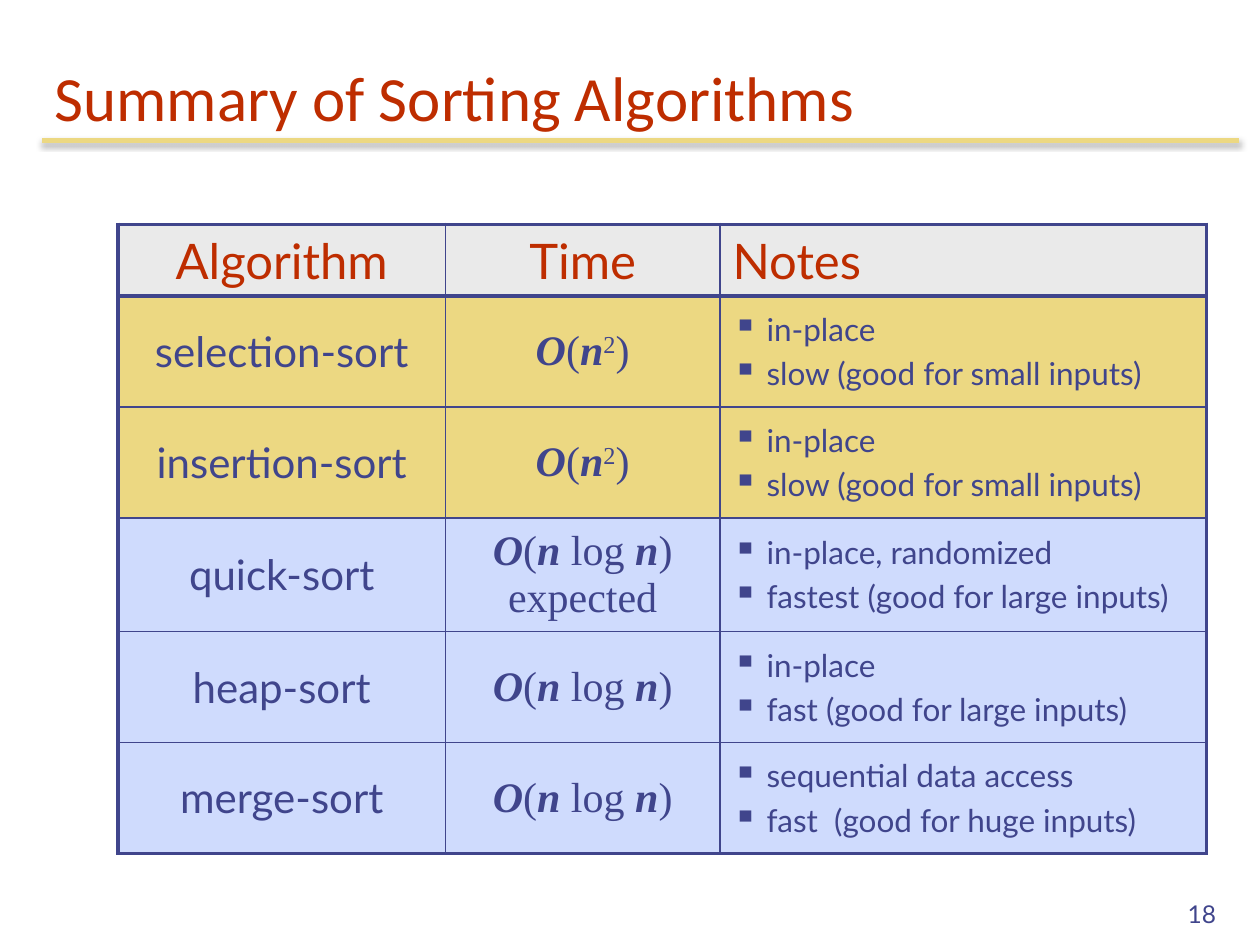
from lxml.etree import SubElement
from pptx import Presentation
from pptx.dml.color import RGBColor
from pptx.enum.shapes import MSO_CONNECTOR
from pptx.enum.text import MSO_ANCHOR, MSO_AUTO_SIZE, PP_ALIGN
from pptx.oxml.ns import qn
from pptx.util import Pt

RED = RGBColor(0xBE, 0x2D, 0x00)
INDIGO = RGBColor(0x40, 0x45, 0x8C)
GOLD = RGBColor(0xEC, 0xD8, 0x82)
GREY = RGBColor(0xEA, 0xEA, 0xEA)
PALE_BLUE = RGBColor(0xCF, 0xDB, 0xFD)
BLACK = RGBColor(0, 0, 0)

THICK, THIN = 2.25, 1

QUADRATIC = ["O", "(", "n", "^2", ")"]
LINEARITHMIC = ["O", "(", "n", " log ", "n", ")"]
SMALL = " slow (good for small inputs)"

ALGORITHMS = [
    ("selection-sort", QUADRATIC, [" in-place", SMALL], GOLD),
    ("insertion-sort", QUADRATIC, [" in-place", SMALL], GOLD),
    ("quick-sort", LINEARITHMIC + ["\n", "expected"],
     [" in-place, randomized", " fastest (good for large inputs)"], PALE_BLUE),
    ("heap-sort", LINEARITHMIC,
     [" in-place", " fast (good for large inputs)"], PALE_BLUE),
    ("merge-sort", LINEARITHMIC,
     [" sequential data access", " fast  (good for huge inputs)"], PALE_BLUE),
]


def add_xml(parent, tag, **attributes):
    """Append a child element such as a:ln and return it."""
    return SubElement(parent, qn(tag), {k: str(v) for k, v in attributes.items()})


class SlideWriter:
    """Holds the style and the current slide."""

    heading_font, text_font, math_font = "Calibri", "Lato", "Times New Roman"

    def __init__(self, slide):
        """Start writing on the given slide."""
        self.slide = slide

    def run(self, paragraph, text, size, color, font=text_font):
        """Add one styled run and return it."""
        run = paragraph.add_run()
        run.text = text
        run.font.name, run.font.size = font, Pt(size)
        run.font.color.rgb = color
        return run

    def title(self, text, left, top, width, height):
        """Fill and place the title placeholder."""
        title = self.slide.shapes.title
        title.left, title.top = Pt(left), Pt(top)
        title.width, title.height = Pt(width), Pt(height)
        frame = title.text_frame
        frame.auto_size = MSO_AUTO_SIZE.NONE
        frame.vertical_anchor = MSO_ANCHOR.BOTTOM
        frame.paragraphs[0].alignment = PP_ALIGN.LEFT
        self.run(frame.paragraphs[0], text, 36, RED, self.heading_font)

    def rule(self, left, y, width):
        """Draw a gold horizontal line with a soft shadow below it."""
        rule = self.slide.shapes.add_connector(
            MSO_CONNECTOR.STRAIGHT, Pt(left), Pt(y), Pt(left + width), Pt(y))
        rule.line.color.rgb, rule.line.width = GOLD, Pt(3)
        effects = add_xml(rule._element.spPr, "a:effectLst")
        shadow = add_xml(effects, "a:outerShdw", blurRad=Pt(3.1), dist=Pt(1.8),
                         dir=90 * 60000, rotWithShape=0)
        add_xml(add_xml(shadow, "a:srgbClr", val=BLACK), "a:alpha", val=35000)

    def page_number(self, text, left, top, width, height):
        """Add the right-aligned page number."""
        box = self.slide.shapes.add_textbox(Pt(left), Pt(top), Pt(width), Pt(height))
        frame = box.text_frame
        frame.word_wrap = True
        frame.vertical_anchor = MSO_ANCHOR.BOTTOM
        frame.paragraphs[0].alignment = PP_ALIGN.RIGHT
        self.run(frame.paragraphs[0], text, 14, INDIGO)

    def table(self, left, top, widths, heights):
        """Add an unbanded table with the given column widths and row heights."""
        table = self.slide.shapes.add_table(
            len(heights), len(widths), Pt(left), Pt(top),
            Pt(sum(widths)), Pt(sum(heights))).table
        table.first_row = table.horz_banding = False
        for column, width in zip(table.columns, widths):
            column.width = Pt(width)
        for row, height in zip(table.rows, heights):
            row.height = Pt(height)
        return table

    def cell(self, table, row, column, fill):
        """Style one cell: thick lines outside and under the header, thin inside."""
        cell = table.cell(row, column)
        last_row, last_column = len(table.rows) - 1, len(table.columns) - 1
        thick_sides = {"L": column == 0, "R": column == last_column,
                       "T": row in (0, 1), "B": row in (0, last_row)}
        properties = cell._tc.get_or_add_tcPr()
        for side, thick in thick_sides.items():
            line = add_xml(properties, "a:ln" + side, w=Pt(THICK if thick else THIN))
            add_xml(add_xml(line, "a:solidFill"), "a:srgbClr", val=INDIGO)
        cell.fill.solid()
        cell.fill.fore_color.rgb = fill
        cell.vertical_anchor = MSO_ANCHOR.MIDDLE
        cell.margin_left = cell.margin_right = Pt(7.2)
        cell.margin_top = cell.margin_bottom = Pt(3.6)
        return cell

    def spaced(self, paragraph, alignment):
        """Align a paragraph, put 20% space before it, return its properties."""
        paragraph.alignment = alignment
        properties = paragraph._p.get_or_add_pPr()
        add_xml(add_xml(properties, "a:spcBef"), "a:spcPct", val=20000)
        return properties

    def label(self, cell, text, size, color, alignment=PP_ALIGN.CENTER):
        """Write one plain line in a cell."""
        paragraph = cell.text_frame.paragraphs[0]
        self.spaced(paragraph, alignment)
        self.run(paragraph, text, size, color)

    def formula(self, cell, terms):
        """Write terms: single letters are variables, ^ raises, newline breaks."""
        paragraph = cell.text_frame.paragraphs[0]
        self.spaced(paragraph, PP_ALIGN.CENTER)
        for term in terms:
            if term == "\n":
                paragraph.add_line_break()
                continue
            run = self.run(paragraph, term.lstrip("^"), 24, INDIGO, self.math_font)
            run.font.bold = run.font.italic = term in ("O", "n")
            if term.startswith("^"):
                run._r.get_or_add_rPr().set("baseline", "30000")

    def bullets(self, cell, remarks):
        """Write a bulleted list in a cell."""
        frame = cell.text_frame
        for index, remark in enumerate(remarks):
            paragraph = frame.add_paragraph() if index else frame.paragraphs[0]
            properties = self.spaced(paragraph, PP_ALIGN.LEFT)
            add_xml(add_xml(properties, "a:buClr"), "a:srgbClr", val=INDIGO)
            add_xml(properties, "a:buSzPct", val=110000)
            add_xml(properties, "a:buChar", char="▪")
            self.run(paragraph, remark, 18, INDIGO)


def main():
    """Build the slide and save it."""
    presentation = Presentation()
    presentation.slide_width, presentation.slide_height = Pt(720), Pt(540)
    writer = SlideWriter(presentation.slides.add_slide(presentation.slide_layouts[5]))

    writer.rule(24, 80.4, 684)
    writer.title("Summary of Sorting Algorithms", 24, 24, 684, 56)
    writer.page_number("18", 552, 498, 150, 36)

    summary = writer.table(67.5, 128.25, [187, 157, 278],
                           [41, 63.4, 63.4, 64.8, 63.4, 63.4])
    headings = [("Algorithm", PP_ALIGN.CENTER), ("Time", PP_ALIGN.CENTER),
                ("Notes", PP_ALIGN.LEFT)]
    for column, (heading, alignment) in enumerate(headings):
        writer.label(writer.cell(summary, 0, column, GREY), heading, 28, RED, alignment)
    for row, (algorithm, time, remarks, fill) in enumerate(ALGORITHMS, start=1):
        writer.label(writer.cell(summary, row, 0, fill), algorithm, 24, INDIGO)
        writer.formula(writer.cell(summary, row, 1, fill), time)
        writer.bullets(writer.cell(summary, row, 2, fill), remarks)

    presentation.save("out.pptx")


main()
